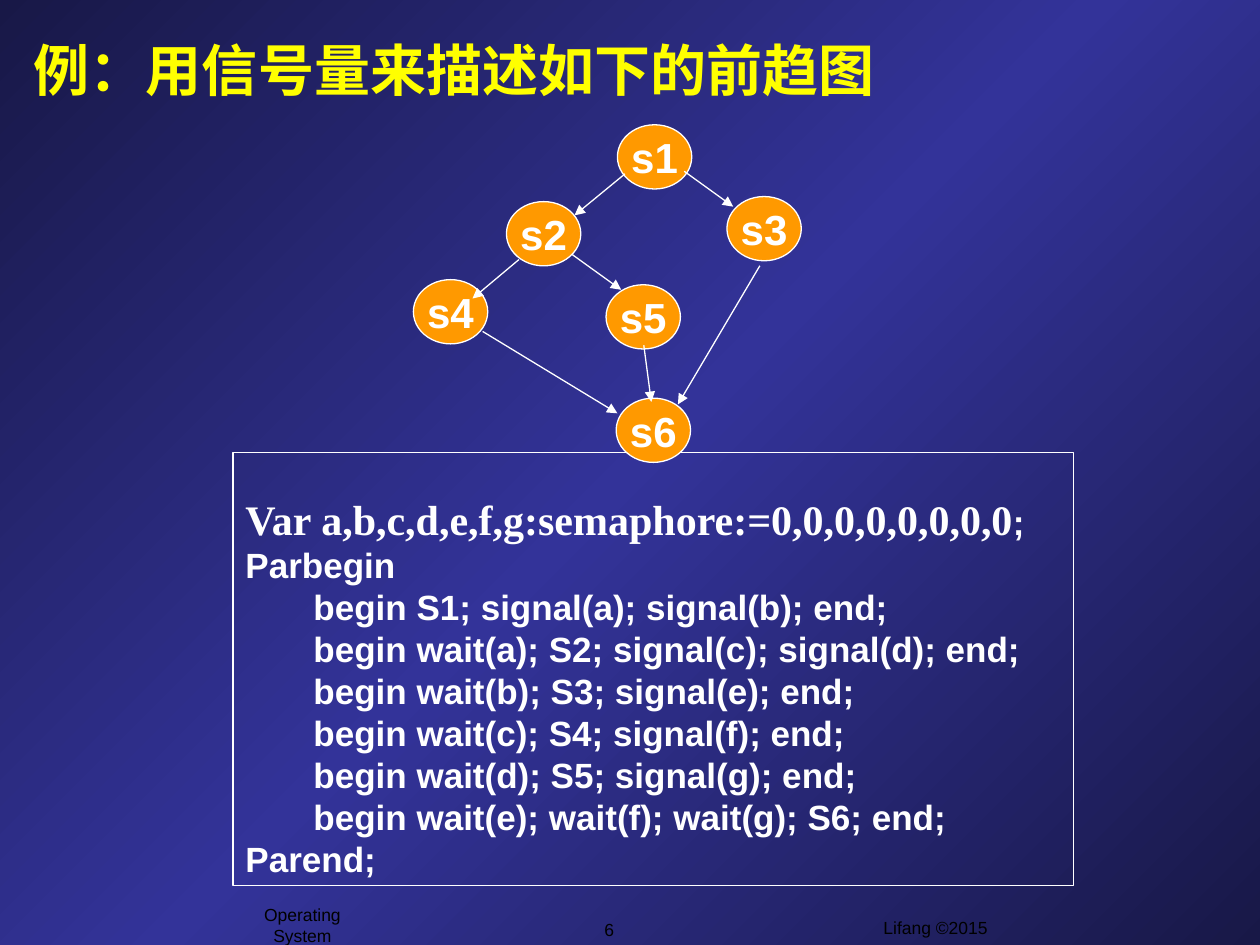
from copy import deepcopy

from lxml import etree
from pptx import Presentation
from pptx.dml.color import RGBColor
from pptx.enum.shapes import MSO_CONNECTOR, MSO_SHAPE
from pptx.enum.text import MSO_ANCHOR, PP_ALIGN
from pptx.oxml.ns import qn
from pptx.util import Pt

OVAL, RECT = MSO_SHAPE.OVAL, MSO_SHAPE.RECTANGLE
LINE = MSO_CONNECTOR.STRAIGHT
TOP, MIDDLE, BOTTOM = MSO_ANCHOR.TOP, MSO_ANCHOR.MIDDLE, MSO_ANCHOR.BOTTOM
LEFT, CENTER = PP_ALIGN.LEFT, PP_ALIGN.CENTER

COLORS = {
    "navy": "181847",
    "blue": "333399",
    "orange": "FF9900",
    "yellow": "FFFF00",
    "white": "FFFFFF",
    "black": "000000",
}
SANS, SERIF = "Arial", "Times New Roman"

NODES = {
    "s1": (352.8, 71.3),
    "s2": (289.4, 115.2),
    "s4": (236.2, 159.8),
    "s5": (346.3, 162.7),
    "s3": (415.4, 112.3),
    "s6": (352.1, 227.5),
}
EDGES = [
    (357.1, 99.4, 328.3, 123.1),
    (296.6, 148.3, 270, 170.6),
    (391, 97.9, 419, 118.1),
    (326.9, 145.4, 355, 165.6),
    (275.8, 189.4, 352.8, 236.2),
    (367.9, 197.3, 372.2, 229.7),
    (434.2, 151.9, 387.4, 231.1),
]
CODE = [
    "Parbegin",
    "       begin S1; signal(a); signal(b); end;",
    "       begin wait(a); S2; signal(c); signal(d); end;",
    "       begin wait(b); S3; signal(e); end;",
    "       begin wait(c); S4; signal(f); end;",
    "       begin wait(d); S5; signal(g); end;",
    "       begin wait(e); wait(f); wait(g); S6; end;",
    "Parend;",
]
FOOTERS = [
    ("Lifang ©2015", 420.5, 520.6, 228.2, 25.2, TOP),
    ("6", 318.2, 521.3, 59.8, 19.4, MIDDLE),
    ("Operating System", 126, 519.1, 93.6, 19.4, MIDDLE),
]


def rgb(name):
    return RGBColor.from_string(COLORS[name])


def style(font, size, color, bold=True, name=SANS):
    font.name = name
    font.size = Pt(size)
    font.bold = bold
    font.color.rgb = rgb(color)


def outline(line):
    line.color.rgb = rgb("white")
    line.width = Pt(0.75)


def add_back(slide):
    fill = slide.background.fill
    fill.gradient()
    fill.gradient_angle = 315
    stops = slide.element.find(".//" + qn("a:gsLst"))
    stops.insert(1, deepcopy(stops[0]))
    marks = [(0, "navy"), (0.5, "blue"), (1, "navy")]
    for stop, (place, color) in zip(fill.gradient_stops, marks):
        stop.position = place
        stop.color.rgb = rgb(color)


def add_title(slide, text):
    title = slide.shapes.title
    title.left, title.top = Pt(12.2), Pt(15.1)
    title.width, title.height = Pt(648), Pt(49)
    frame = title.text_frame
    frame.text = text
    frame.vertical_anchor = MIDDLE
    para = frame.paragraphs[0]
    para.alignment = LEFT
    style(para.font, 32, "yellow", name=SERIF)


def add_code(slide):
    box = slide.shapes.add_shape(RECT, Pt(133.2), Pt(258.5), Pt(480.2), Pt(247.7))
    box.shadow.inherit = False
    box.fill.background()
    outline(box.line)
    frame = box.text_frame
    frame.word_wrap = True
    frame.vertical_anchor = BOTTOM
    first = frame.paragraphs[0]
    decl, end = first.add_run(), first.add_run()
    decl.text = "Var a,b,c,d,e,f,g:semaphore:=0,0,0,0,0,0,0,0"
    end.text = ";"
    style(decl.font, 24, "white", name=SERIF)
    style(end.font, 20, "white")
    for text in CODE:
        para = frame.add_paragraph()
        para.text = text
        style(para.font, 20, "white")
    for para in frame.paragraphs:
        para.alignment = LEFT
        para.line_spacing = Pt(24)


def add_node(slide, text, left, top):
    node = slide.shapes.add_shape(OVAL, Pt(left), Pt(top), Pt(42.5), Pt(36.7))
    node.shadow.inherit = False
    node.fill.solid()
    node.fill.fore_color.rgb = rgb("orange")
    outline(node.line)
    frame = node.text_frame
    frame.text = text
    frame.word_wrap = False
    frame.vertical_anchor = MIDDLE
    para = frame.paragraphs[0]
    para.alignment = CENTER
    style(para.font, 24, "white")


def add_arrow(slide, ends):
    arrow = slide.shapes.add_connector(LINE, *map(Pt, ends))
    outline(arrow.line)
    tail = etree.SubElement(arrow.line._get_or_add_ln(), qn("a:tailEnd"))
    tail.set("type", "triangle")
    etree.SubElement(arrow._element.spPr, qn("a:effectLst"))


def add_footer(slide, text, left, top, width, height, anchor):
    box = slide.shapes.add_textbox(Pt(left), Pt(top), Pt(width), Pt(height))
    frame = box.text_frame
    frame.text = text
    frame.word_wrap = anchor == TOP
    frame.vertical_anchor = anchor
    para = frame.paragraphs[0]
    para.alignment = CENTER
    style(para.font, 10, "black", bold=False)


def main():
    deck = Presentation()
    deck.slide_width, deck.slide_height = Pt(720), Pt(540)
    slide = deck.slides.add_slide(deck.slide_layouts[5])
    add_back(slide)
    for footer in FOOTERS:
        add_footer(slide, *footer)
    add_title(slide, "例：用信号量来描述如下的前趋图")
    add_code(slide)
    for text, spot in NODES.items():
        add_node(slide, text, *spot)
    for ends in EDGES:
        add_arrow(slide, ends)
    deck.save("out.pptx")


if __name__ == "__main__":
    main()
